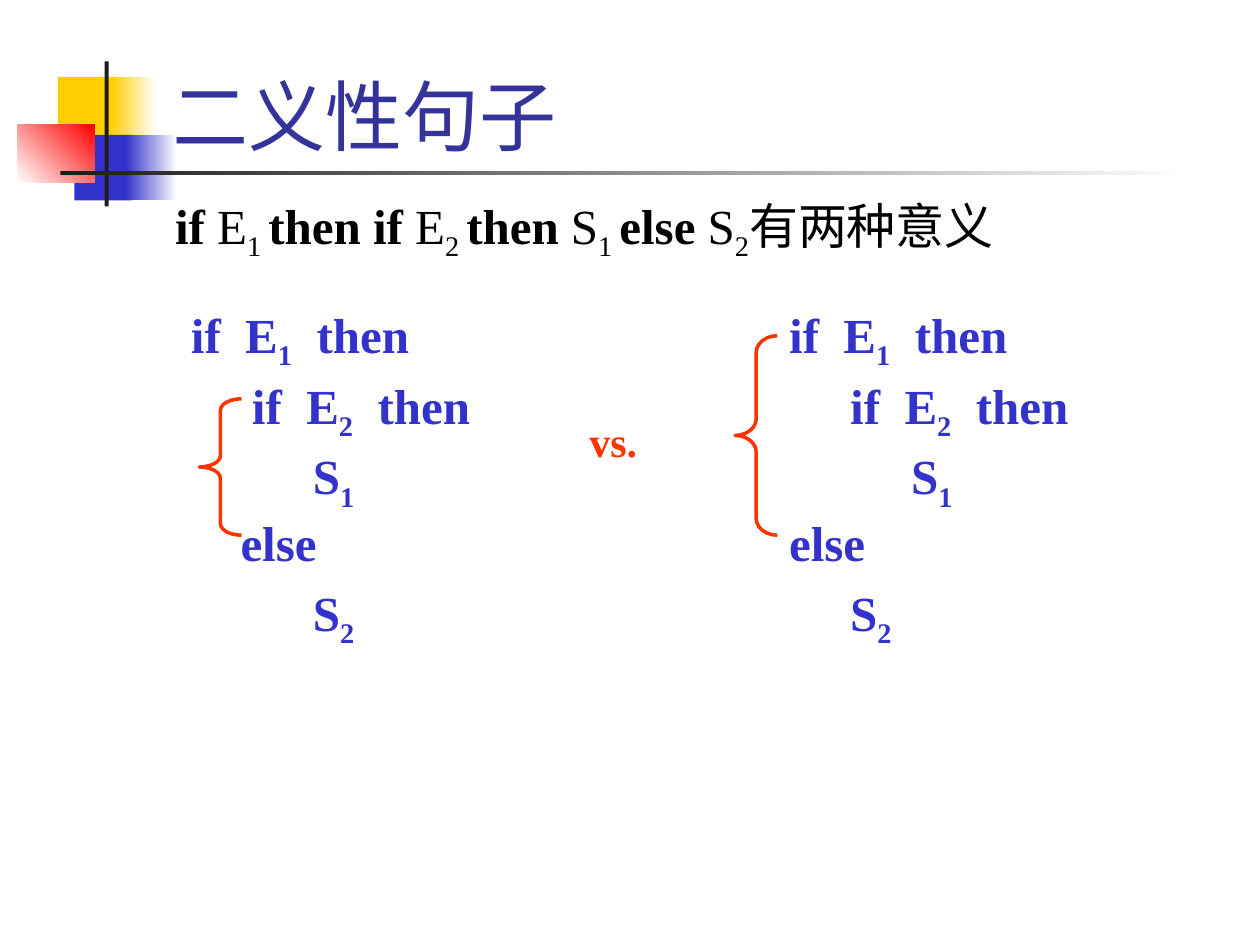
"""Builds the slide on an ambiguous if-then-else sentence and its two readings."""
from dataclasses import dataclass
from typing import NamedTuple, Optional

import pptx
import pptx.dml.color
import pptx.enum.shapes
import pptx.enum.text
import pptx.slide
import pptx.text.text
import pptx.util

Cm = pptx.util.Cm
Pt = pptx.util.Pt
RGB = pptx.dml.color.RGBColor


@dataclass(frozen=True)
class Theme:
    """Colours, font and type sizes of the slide."""
    font: str = "Times New Roman"
    title: RGB = RGB(0x33, 0x33, 0x99)
    text: RGB = RGB(0, 0, 0)
    blue: RGB = RGB(0x33, 0x33, 0xCC)
    accent: RGB = RGB(0xFF, 0x33, 0x00)
    yellow: RGB = RGB(0xFF, 0xCF, 0x01)
    red: RGB = RGB(0xFF, 0, 0)
    dark: RGB = RGB(0x1C, 0x1C, 0x1C)
    white: RGB = RGB(0xFF, 0xFF, 0xFF)
    title_size: int = 44
    body_size: int = 28
    versus_size: int = 24


THEME = Theme()


class Box(NamedTuple):
    """Left, top, width and height in centimetres."""
    left: float
    top: float
    width: float
    height: float

    def lengths(self) -> tuple:
        """Return the four sides as lengths."""
        return tuple(Cm(side) for side in self)


class Block(NamedTuple):
    """A decorative rectangle, plain or fading from start to end."""
    box: Box
    start: RGB
    end: Optional[RGB] = None
    angle: float = 0


class Span(NamedTuple):
    """A stretch of text in one style."""
    text: str
    bold: bool = True
    subscript: bool = False


class Line(NamedTuple):
    """A line of code with its indent in centimetres."""
    spans: tuple
    indent: float = 0


class Reading(NamedTuple):
    """One reading of the sentence, with the brace that groups it."""
    box: Box
    brace: Box
    else_indent: float
    last_indent: float


BLOCKS = (
    Block(Box(1.17, 1.55, 1.22, 1.32), THEME.yellow),
    Block(Box(2.24, 1.55, 0.91, 1.32), THEME.yellow, THEME.white),
    Block(Box(1.5, 2.72, 1.17, 1.32), THEME.blue),
    Block(Box(2.54, 2.72, 1.02, 1.32), THEME.blue, THEME.white),
    Block(Box(0.36, 2.51, 1.55, 1.17), THEME.white, THEME.red, 45),
    Block(Box(2.11, 1.24, 0.08, 2.92), THEME.dark),
    Block(Box(1.22, 3.45, 22.86, 0.08), THEME.dark, THEME.white),
)
STEP = 1.23
READINGS = (
    Reading(Box(3.6, 6.35, 7.2, 6.77), Box(4.02, 8.04, 0.85, 2.75), 1, 2 * STEP),
    Reading(Box(15.66, 6.35, 7.2, 6.67), Box(14.82, 6.77, 0.85, 4.02), 0, STEP),
)


def symbol(letter: str, index: str, bold: bool = True) -> tuple:
    """Return a letter with its subscript."""
    return Span(letter, bold), Span(index, bold, True)


SENTENCE = (
    Span("if"), *symbol(" E", "1 ", False), Span("then if"), *symbol(" E", "2 ", False),
    Span("then"), *symbol(" S", "1 ", False), Span("else"), *symbol(" S", "2", False),
    Span("有两种意义", False),
)


def style_run(run: pptx.text.text._Run, size: int, color: RGB, bold: bool) -> None:
    """Set font, size, colour and weight of a run."""
    run.font.name = THEME.font
    run.font.size = Pt(size)
    run.font.color.rgb = color
    run.font.bold = bold


def add_block(slide: pptx.slide.Slide, block: Block) -> None:
    """Draw a decorative rectangle."""
    shape = slide.shapes.add_shape(
        pptx.enum.shapes.MSO_SHAPE.RECTANGLE, *block.box.lengths())
    shape.shadow.inherit = False
    shape.line.fill.background()
    if block.end is None:
        shape.fill.solid()
        shape.fill.fore_color.rgb = block.start
        return
    shape.fill.gradient()
    shape.fill.gradient_angle = block.angle
    for stop, color in zip(shape.fill.gradient_stops, (block.start, block.end)):
        stop.color.rgb = color


def add_lines(slide: pptx.slide.Slide, box: Box, lines: tuple, size: int, color: RGB,
              before: float, spacing: float = 1.0) -> None:
    """Write lines of styled spans in a text box."""
    frame = slide.shapes.add_textbox(*box.lengths()).text_frame
    frame.word_wrap = True
    for number, line in enumerate(lines):
        paragraph = frame.add_paragraph() if number else frame.paragraphs[0]
        paragraph.space_before = Pt(before)
        paragraph.line_spacing = spacing
        if line.indent:
            paragraph._p.get_or_add_pPr().set("marL", str(Cm(line.indent)))
        for span in line.spans:
            run = paragraph.add_run()
            run.text = span.text
            style_run(run, size, color, span.bold)
            if span.subscript:
                run._r.get_or_add_rPr().set("baseline", "-25000")


def add_brace(slide: pptx.slide.Slide, box: Box) -> None:
    """Draw a left brace whose curls are a twelfth of its height."""
    brace = slide.shapes.add_shape(
        pptx.enum.shapes.MSO_SHAPE.LEFT_BRACE, *box.lengths())
    brace.adjustments[0] = box.height / 12 / box.width
    brace.shadow.inherit = False
    brace.fill.background()
    brace.line.color.rgb = THEME.accent
    brace.line.width = Pt(2)


def add_reading(slide: pptx.slide.Slide, reading: Reading) -> None:
    """Write one reading of the sentence and its brace."""
    lines = (
        Line((*symbol("if  E", "1"), Span("  then"))),
        Line((*symbol("if  E", "2"), Span("  then")), STEP),
        Line(symbol("S", "1"), 2 * STEP),
        Line((Span("else"),), reading.else_indent),
        Line(symbol("S", "2"), reading.last_indent),
    )
    add_lines(slide, reading.box, lines, THEME.body_size, THEME.blue, 17.5, 0.6)
    add_brace(slide, reading.brace)


def set_title(slide: pptx.slide.Slide, text: str, box: Box) -> None:
    """Place and format the title."""
    title = slide.shapes.title
    title.left, title.top, title.width, title.height = box.lengths()
    frame = title.text_frame
    frame.text = text
    frame.auto_size = pptx.enum.text.MSO_AUTO_SIZE.NONE
    frame.vertical_anchor = pptx.enum.text.MSO_ANCHOR.BOTTOM
    frame.paragraphs[0].alignment = pptx.enum.text.PP_ALIGN.LEFT
    style_run(frame.paragraphs[0].runs[0], THEME.title_size, THEME.title, False)


def main() -> None:
    """Build and save the slide."""
    deck = pptx.Presentation()
    deck.slide_width, deck.slide_height = Cm(25.4), Cm(19.05)
    slide = deck.slides.add_slide(deck.slide_layouts.get_by_name("Title Only"))
    for block in BLOCKS:
        add_block(slide, block)
    set_title(slide, "二义性句子", Box(3.2, 0.2, 21.64, 3.18))
    add_lines(slide, Box(3.28, 3.81, 21.59, 2.11), (Line(SENTENCE),),
              THEME.body_size, THEME.text, 7)
    for reading in READINGS:
        add_reading(slide, reading)
    add_lines(slide, Box(11.63, 8.25, 1.7, 1.27), (Line((Span("vs."),)),),
              THEME.versus_size, THEME.accent, 15)
    deck.save("out.pptx")


if __name__ == "__main__":
    main()
